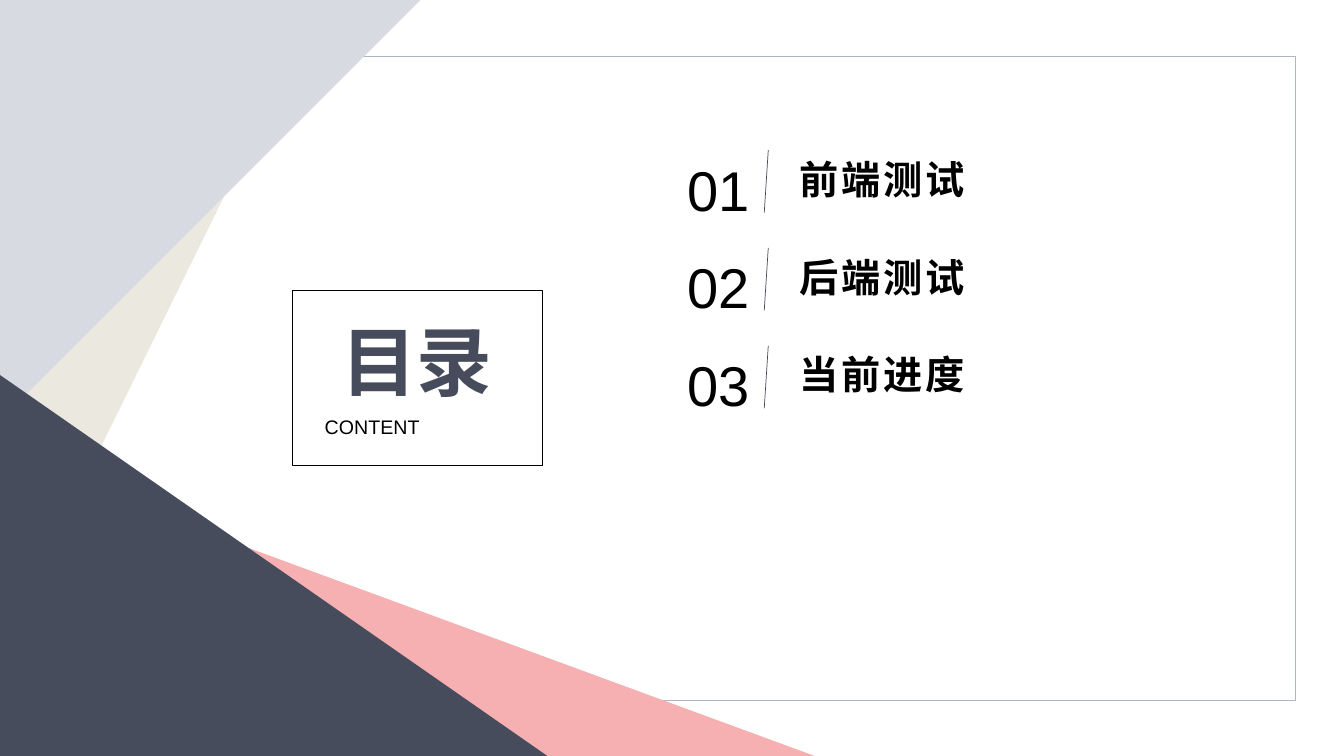
from lxml import etree
from pptx import Presentation, util as u
from pptx.dml.color import RGBColor
from pptx.enum import shapes, text
from pptx.oxml.ns import qn

PX = u.Inches(1) // 100
COLORS = {
    "frame": "B0B5C2",
    "beige": "EBE8E0",
    "mist": "D8DAE1",
    "pink": "F6B0B1",
    "navy": "464C5B",
    "black": "000000",
}
LATIN_FONT = "Arial"
CHINESE_FONT = "Noto Sans CJK SC"
TOPICS = ["前端测试", "后端测试", "当前进度"]
ROW_STEP = 97


def color(name):
    return RGBColor.from_string(COLORS[name])


def add_triangle(slide, points, fill):
    builder = slide.shapes.build_freeform(*points[0], scale=PX)
    builder.add_line_segments(points[1:], close=True)
    shape = builder.convert_to_shape()
    shape.shadow.inherit = False
    shape.fill.solid()
    shape.fill.fore_color.rgb = color(fill)
    shape.line.fill.background()


def add_outline(slide, box, line, kind=shapes.MSO_SHAPE.RECTANGLE):
    shape = slide.shapes.add_shape(kind, *(n * PX for n in box))
    shape.shadow.inherit = False
    shape.fill.background()
    shape.line.color.rgb = color(line)
    shape.line.width = u.Pt(1)
    return shape


def add_label(slide, box, words, size, font=LATIN_FONT, fill="black", bold=False,
              align=text.PP_ALIGN.LEFT, wrap=True, inset=True, spacing=0):
    label = slide.shapes.add_textbox(*(n * PX for n in box))
    frame = label.text_frame
    frame.word_wrap = wrap
    frame.auto_size = text.MSO_AUTO_SIZE.SHAPE_TO_FIT_TEXT
    if not inset:
        frame.margin_left = frame.margin_right = 0
        frame.margin_top = frame.margin_bottom = 0
    paragraph = frame.paragraphs[0]
    paragraph.text = words
    paragraph.alignment = align
    paragraph.font.size = u.Pt(size)
    paragraph.font.bold = bold
    paragraph.font.color.rgb = color(fill)
    paragraph.font.name = font
    properties = paragraph._p.pPr.find(qn("a:defRPr"))
    etree.SubElement(properties, qn("a:ea")).set("typeface", font)
    if spacing:
        properties.set("spc", str(spacing * 100))


def add_slash(slide, left, top, width, height):
    slash = slide.shapes.add_connector(
        shapes.MSO_CONNECTOR.STRAIGHT,
        left * PX, (top + height) * PX, (left + width) * PX, top * PX)
    slash.line.color.rgb = color("navy")
    slash.line.width = u.Pt(0.5)
    etree.SubElement(slash._element.spPr, qn("a:effectLst"))


def add_top_corner(slide, left, top):
    for width, height, fill in [(318, 647, "beige"), (417, 417, "mist")]:
        add_triangle(slide, [(left, top), (left + width, top), (left, top + height)], fill)


def add_bottom_corner(slide, left, bottom):
    for width, height, fill in [(808, 297, "pink"), (543, 378, "navy")]:
        add_triangle(slide, [(left, bottom), (left, bottom - height), (left + width, bottom)], fill)


def add_heading(slide, left, top, width, height):
    add_label(slide, (left + 48, top + 24, 151, 91), "目录", 54, CHINESE_FONT, "navy",
              bold=True, align=text.PP_ALIGN.CENTER, wrap=False, inset=False)
    add_label(slide, (left + 32, top + 124, 185, 24), "CONTENT", 14,
              align=text.PP_ALIGN.JUSTIFY, inset=False)
    border = add_outline(slide, (left, top, width, height), "black",
                         shapes.MSO_SHAPE.ROUNDED_RECTANGLE)
    border.adjustments[0] = 0


def add_topics(slide, left, top):
    for index, topic in enumerate(TOPICS):
        row = top + index * ROW_STEP
        add_label(slide, (left + 113, row, 485, 57), topic, 28, CHINESE_FONT,
                  bold=True, spacing=2)
        add_label(slide, (left, row, 83, 60), f"{index + 1:02}", 40,
                  align=text.PP_ALIGN.RIGHT, wrap=False)
        add_slash(slide, left + 88, row, 4, 62)


def main():
    presentation = Presentation()
    presentation.slide_width = 1333 * PX
    presentation.slide_height = 750 * PX
    slide = presentation.slides.add_slide(presentation.slide_layouts[6])
    add_outline(slide, (49, 56, 1236, 639), "frame")
    add_top_corner(slide, 0, 0)
    add_heading(slide, 290, 288, 248, 174)
    add_topics(slide, 670, 149)
    add_bottom_corner(slide, 0, 750)
    presentation.save("out.pptx")


if __name__ == "__main__":
    main()
